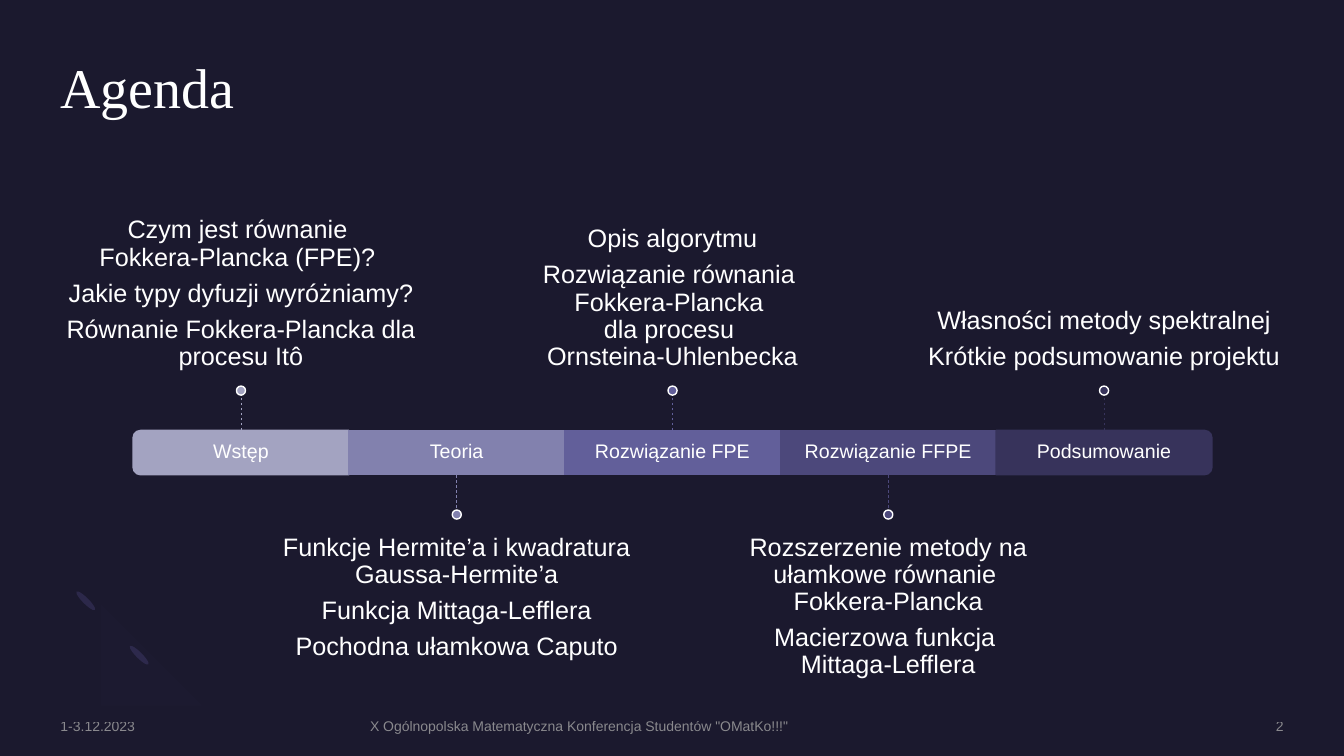
from dataclasses import dataclass

import pptx
import pptx.dml.fill
import pptx.enum.dml
import pptx.enum.shapes
import pptx.enum.text
import pptx.oxml
import pptx.oxml.ns
import pptx.shapes.autoshape
import pptx.slide
import pptx.util
from pptx.util import Inches

SHAPE = pptx.enum.shapes.MSO_SHAPE
ALIGN = pptx.enum.text.PP_ALIGN
ANCHOR = pptx.enum.text.MSO_ANCHOR

WHITE = "FFFFFF"
BAR_LEFT, BAR_TOP, CELL_WIDTH, CELL_HEIGHT = 1.32, 4.27, 2.14, 0.44
STEM, DOT = 0.35, 0.09
NOTE_WIDTH, NOTE_HEIGHT = 3.57, 1.52

Point = tuple[float, float]


@dataclass
class Stage:
    label: str
    colour: str
    notes: list[str]
    rotation: int = 0


@dataclass
class Footer:
    text: str
    left: float
    width: float
    align: pptx.enum.text.PP_ALIGN = ALIGN.LEFT


STAGES = [
    Stage("Wstęp", "A3A3C1", [
        "Czym jest równanie \nFokkera-Plancka (FPE)? ",
        "Jakie typy dyfuzji wyróżniamy?",
        "Równanie Fokkera-Plancka dla procesu Itô",
    ], rotation=270),
    Stage("Teoria", "8281AE", [
        "Funkcje Hermite’a i kwadratura Gaussa-Hermite’a",
        "Funkcja Mittaga-Lefflera",
        "Pochodna ułamkowa Caputo",
    ]),
    Stage("Rozwiązanie FPE", "625F9A", [
        "Opis algorytmu",
        "Rozwiązanie równania \nFokkera-Plancka \ndla procesu \nOrnsteina-Uhlenbecka",
    ]),
    Stage("Rozwiązanie FFPE", "4C487B", [
        "Rozszerzenie metody na ułamkowe równanie \nFokkera-Plancka",
        "Macierzowa funkcja \nMittaga-Lefflera",
    ]),
    Stage("Podsumowanie", "37335B", [
        "Własności metody spektralnej",
        "Krótkie podsumowanie projektu",
    ], rotation=90),
]

FOOTERS = [
    Footer("1-3.12.2023", 0.6, 2.88),
    Footer('X Ogólnopolska Matematyczna Konferencja Studentów "OMatKo!!!"', 3.67, 6.98),
    Footer("2", 10.88, 1.85, ALIGN.RIGHT),
]

ARC_OUTER = [(0.76, 6.59), (0.56, 6.39), (0.58, 6.05), (0.81, 5.82)]
ARC_INNER = [
    [(0.99, 6), (0.87, 6.11), (0.86, 6.29), (0.96, 6.38)],
    [(0.96, 6.38), (1.06, 6.48), (1.23, 6.47), (1.35, 6.36)],
]
ARC_END = [(1.52, 6.54), (1.3, 6.76), (0.95, 6.79), (0.76, 6.59)]


def paint(fill: pptx.dml.fill.FillFormat, colour: str) -> None:
    fill.solid()
    fill.fore_color.rgb = pptx.dml.color.RGBColor.from_string(colour)


def fade(element, percent: int) -> None:
    for colour in element.iter(pptx.oxml.ns.qn("a:srgbClr")):
        alpha = pptx.oxml.parse_xml(f'<a:alpha {pptx.oxml.ns.nsdecls("a")} val="{percent * 1000}"/>')
        colour.append(alpha)


def add_text(slide: pptx.slide.Slide, paragraphs: list[str], left: float, top: float,
             width: float, height: float, *, size: float, font: str = "Arial",
             colour: str = WHITE, opacity: int = 100, align=ALIGN.LEFT, anchor=ANCHOR.TOP,
             inset_top: float = 0, inset_bottom: float = 0,
             line_spacing: float = 1, space_after: float = 0) -> None:
    shape = slide.shapes.add_textbox(Inches(left), Inches(top), Inches(width), Inches(height))
    frame = shape.text_frame
    frame.word_wrap = True
    frame.vertical_anchor = anchor
    frame.margin_left = frame.margin_right = 0
    frame.margin_top, frame.margin_bottom = Inches(inset_top), Inches(inset_bottom)
    for index, text in enumerate(paragraphs):
        paragraph = frame.add_paragraph() if index else frame.paragraphs[0]
        paragraph.text = text.replace("\n", "\v")
        paragraph.alignment = align
        paragraph.line_spacing = line_spacing
        paragraph.space_after = pptx.util.Pt(space_after)
        for run in paragraph.runs:
            run.font.size = pptx.util.Pt(size)
            run.font.name = font
            paint(run.font.fill, colour)
    if opacity < 100:
        fade(shape.element, opacity)


def add_block(slide: pptx.slide.Slide, kind, centre: Point, width: float, height: float,
              colour: str, *, outline: str | None = None,
              rotation: int = 0) -> pptx.shapes.autoshape.Shape:
    shape = slide.shapes.add_shape(kind, Inches(centre[0] - width / 2), Inches(centre[1] - height / 2),
                                   Inches(width), Inches(height))
    shape.shadow.inherit = False
    shape.rotation = rotation
    paint(shape.fill, colour)
    if outline:
        paint(shape.line.fill, outline)
        shape.line.width = pptx.util.Pt(1)
    else:
        shape.line.fill.background()
    return shape


def curve(controls: list[Point], steps: int = 12) -> list[Point]:
    points = []
    for step in range(steps + 1):
        t = step / steps
        weights = ((1 - t) ** 3, 3 * t * (1 - t) ** 2, 3 * t * t * (1 - t), t ** 3)
        points.append(tuple(sum(w * control[axis] for w, control in zip(weights, controls))
                            for axis in (0, 1)))
    return points


def add_ornament(slide: pptx.slide.Slide) -> None:
    for centre in ((1.38, 6.5), (0.85, 5.96)):
        add_block(slide, SHAPE.OVAL, centre, 0.06, 0.26, "2C284A", rotation=135)
    outline = [point for part in (ARC_OUTER, *ARC_INNER, ARC_END) for point in curve(part)]
    builder = slide.shapes.build_freeform(*outline[0], scale=Inches(1))
    builder.add_line_segments(outline[1:], close=True)
    arc = builder.convert_to_shape()
    arc.shadow.inherit = False
    paint(arc.fill, "7771B2")
    fade(arc.element.spPr, 2)
    arc.line.fill.background()


def add_stage(slide: pptx.slide.Slide, index: int, stage: Stage) -> None:
    left = BAR_LEFT + index * CELL_WIDTH
    centre = left + CELL_WIDTH / 2
    above = index % 2 == 0
    middle = (centre, BAR_TOP + CELL_HEIGHT / 2)
    if stage.rotation:
        cell = add_block(slide, SHAPE.ROUND_2_SAME_RECTANGLE, middle, CELL_HEIGHT, CELL_WIDTH,
                         stage.colour, outline=stage.colour, rotation=stage.rotation)
    else:
        cell = add_block(slide, SHAPE.RECTANGLE, middle, CELL_WIDTH, CELL_HEIGHT,
                         stage.colour, outline=stage.colour)
    add_text(slide, [stage.label], left, BAR_TOP, CELL_WIDTH, CELL_HEIGHT, size=14,
             align=ALIGN.CENTER, anchor=ANCHOR.MIDDLE, line_spacing=0.9)

    direction = -1 if above else 1
    edge = BAR_TOP if above else BAR_TOP + CELL_HEIGHT
    tip = edge + direction * STEM
    note_edge = tip + direction * DOT
    add_text(slide, stage.notes, centre - NOTE_WIDTH / 2, note_edge - NOTE_HEIGHT if above else note_edge,
             NOTE_WIDTH, NOTE_HEIGHT, size=18, align=ALIGN.CENTER,
             anchor=ANCHOR.BOTTOM if above else ANCHOR.TOP,
             inset_top=0 if above else 0.15, inset_bottom=0.15 if above else 0,
             line_spacing=0.9, space_after=6.3)

    stem = slide.shapes.add_connector(pptx.enum.shapes.MSO_CONNECTOR.STRAIGHT,
                                      Inches(centre), Inches(edge), Inches(centre), Inches(tip))
    if not stage.rotation:
        stem.begin_connect(cell, 0 if above else 2)
    paint(stem.line.fill, stage.colour)
    stem.line.width = pptx.util.Pt(0.5)
    stem.line.dash_style = pptx.enum.dml.MSO_LINE.DASH
    stem.element.spPr.append(pptx.oxml.parse_xml(f'<a:effectLst {pptx.oxml.ns.nsdecls("a")}/>'))
    add_block(slide, SHAPE.OVAL, (centre, tip + direction * DOT / 2), DOT, DOT,
              stage.colour, outline=WHITE)


def main() -> None:
    presentation = pptx.Presentation()
    presentation.slide_width, presentation.slide_height = Inches(13.33), Inches(7.5)
    slide = presentation.slides.add_slide(presentation.slide_layouts[6])
    paint(slide.background.fill, "1B192E")
    add_ornament(slide)
    add_text(slide, ["Agenda"], 0.6, 0.6, 12.13, 1.46, size=40, font="Times New Roman", line_spacing=0.9)
    for index, stage in enumerate(STAGES):
        add_stage(slide, index, stage)
    for footer in FOOTERS:
        add_text(slide, [footer.text], footer.left, 7.12, footer.width, 0.17, size=10,
                 colour="A6A6A6", opacity=80, align=footer.align, anchor=ANCHOR.MIDDLE)
    presentation.save("out.pptx")


if __name__ == "__main__":
    main()
